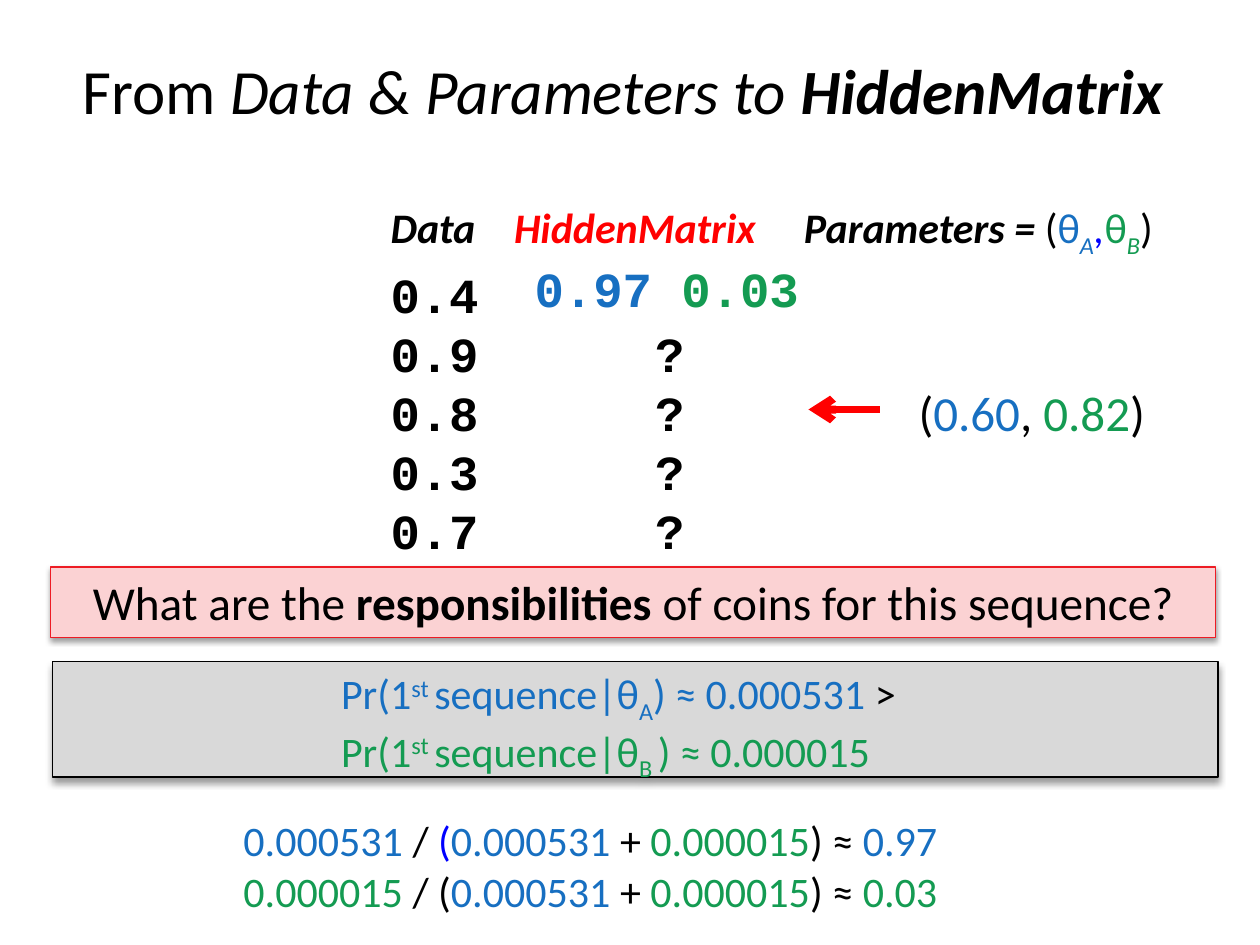
from dataclasses import dataclass

import lxml.etree
import pptx
import pptx.dml.color
import pptx.enum.shapes
import pptx.enum.text
import pptx.oxml.ns
import pptx.util

qn = pptx.oxml.ns.qn
Inches = pptx.util.Inches
Pt = pptx.util.Pt
ALIGN = pptx.enum.text.PP_ALIGN
ANCHOR = pptx.enum.text.MSO_ANCHOR


def rgb(value):
    return pptx.dml.color.RGBColor.from_string(value)


@dataclass(frozen=True)
class Theme:
    black: str = "000000"
    red: str = "FF0000"
    coin_a: str = "176FC1"
    coin_b: str = "149B52"
    accent: str = "0000FF"
    question_fill: str = "FBD2D3"
    question_line: str = "ED1C24"
    answer_fill: str = "D9D9D9"
    sans: str = "Calibri"
    mono: str = "Courier New"
    title: float = 36
    question: float = 27
    data: float = 28
    body: float = 24
    row_pitch: float = 33.7


class SlideBuilder:
    COLUMNS, ROWS = 120, 90
    BASELINES = {"sub": "-25000", "sup": "30000"}

    def __init__(self, theme):
        self.theme = theme
        self.deck = pptx.Presentation()
        self.deck.slide_width, self.deck.slide_height = Inches(10), Inches(7.5)
        self.slide = self.deck.slides.add_slide(self.deck.slide_layouts[5])

    def place(self, column, row, width=0, height=0):
        across = self.deck.slide_width / self.COLUMNS
        down = self.deck.slide_height / self.ROWS
        return [round(n) for n in (column * across, row * down, width * across, height * down)]

    def set_text(self, frame, lines, size, font=None, align=ALIGN.LEFT, anchor=ANCHOR.TOP,
                 inset=0.1, top=0.05, tabs=(), pitch=None):
        frame.word_wrap = True
        frame.auto_size = pptx.enum.text.MSO_AUTO_SIZE.NONE
        frame.vertical_anchor = anchor
        frame.margin_left, frame.margin_top = Inches(inset), Inches(top)
        for index, line in enumerate(lines):
            paragraph = frame.paragraphs[0] if index == 0 else frame.add_paragraph()
            if tabs:
                stops = lxml.etree.SubElement(paragraph._p.get_or_add_pPr(), qn("a:tabLst"))
                for stop in tabs:
                    lxml.etree.SubElement(stops, qn("a:tab"), pos=str(Inches(stop)), algn="l")
            if pitch:
                paragraph.line_spacing = Pt(pitch)
            paragraph.alignment = align
            paragraph.font.size = Pt(size)
            paragraph.font.name = font or self.theme.sans
            paragraph.font.color.rgb = rgb(self.theme.black)
            for text, *styles in line:
                self.run(paragraph, text, styles)
        return frame

    def run(self, paragraph, text, styles):
        run = paragraph.add_run()
        run.text = text
        for style in styles:
            if style in self.BASELINES:
                run._r.get_or_add_rPr().set("baseline", self.BASELINES[style])
            elif style in ("bold", "italic"):
                setattr(run.font, style, True)
            elif style in ("sans", "mono"):
                run.font.name = getattr(self.theme, style)
            else:
                run.font.color.rgb = rgb(getattr(self.theme, style))

    def title(self, area, line):
        heading = self.slide.shapes.title
        heading.left, heading.top, heading.width, heading.height = self.place(*area)
        self.set_text(heading.text_frame, [line], self.theme.title,
                      align=ALIGN.CENTER, anchor=ANCHOR.MIDDLE)

    def text(self, area, lines, size, **layout):
        box = self.slide.shapes.add_textbox(*self.place(*area))
        return self.set_text(box.text_frame, lines, size, **layout)

    def panel(self, area, lines, size, fill, outline, shadow, **layout):
        panel = self.slide.shapes.add_shape(
            pptx.enum.shapes.MSO_SHAPE.RECTANGLE, *self.place(*area))
        panel.fill.solid()
        panel.fill.fore_color.rgb = rgb(fill)
        panel.line.color.rgb = rgb(outline)
        panel.line.width = Pt(0.75)
        panel.shadow.inherit = False
        alpha, blur, distance = shadow
        cast = lxml.etree.SubElement(
            panel._element.spPr.find(qn("a:effectLst")), qn("a:outerShdw"),
            blurRad=str(Pt(blur)), dist=str(Pt(distance)), dir="5400000", rotWithShape="0")
        shade = lxml.etree.SubElement(cast, qn("a:srgbClr"), val=self.theme.black)
        lxml.etree.SubElement(shade, qn("a:alpha"), val=str(alpha * 1000))
        self.set_text(panel.text_frame, lines, size, **layout)

    def arrow(self, tip, tail, color, weight):
        arrow = self.slide.shapes.add_connector(
            pptx.enum.shapes.MSO_CONNECTOR.STRAIGHT,
            *self.place(*tip)[:2], *self.place(*tail)[:2])
        arrow.line.color.rgb = rgb(color)
        arrow.line.width = Pt(weight)
        properties = arrow._element.spPr
        lxml.etree.SubElement(properties.find(qn("a:ln")), qn("a:headEnd"), type="arrow")
        lxml.etree.SubElement(properties, qn("a:effectLst"))


def likelihood(coin, color, value):
    return [("Pr(1", color), ("st ", color, "sup"), ("sequence|θ", color),
            (coin, color, "sub"), (f") ≈ {value}", color)]


def responsibility(numerator, color, bracket, result):
    return [(numerator + " ", color), ("/ ",), ("(", bracket), ("0.000531 ", "coin_a"),
            ("+ ",), ("0.000015", "coin_b"), (") ≈ ",), (result, color)]


def main():
    theme = Theme()
    page = SlideBuilder(theme)

    header = [("Data\t", "bold", "italic"), ("HiddenMatrix", "bold", "italic", "red"),
              ("\tParameters = ", "bold", "italic"), ("(",), ("θ", "coin_a"),
              ("A", "coin_a", "italic", "sub"), (",", "accent", "italic"), ("θ", "coin_b"),
              ("B", "coin_b", "italic", "sub"), (")",)]
    observations = [[("0.4", "bold", "mono")]]
    observations += [[(f"{share}\t\t?", "bold", "mono")] for share in ("0.9", "0.8", "0.3", "0.7")]
    observations[2] += [("\t\t(", "sans"), ("0.60", "sans", "coin_a"), (", ", "sans"),
                        ("0.82", "sans", "coin_b"), (")", "sans")]
    table = page.text((2.4, 18, 117.6, 40.8), [header, *observations], theme.data,
                      inset=2.9, top=0.09, tabs=(0.98, 2.1, 3.28, 4.19), pitch=theme.row_pitch)
    heads, first = table.paragraphs[:2]
    heads.font.size = Pt(theme.body)
    first.space_before = Pt(3)
    stops = heads._p.pPr.find(qn("a:tabLst"))
    stops.remove(stops[1])

    page.panel((5, 63, 111, 11),
               [likelihood("A", "coin_a", "0.000531 ") + [(">",)],
                likelihood("B ", "coin_b", "0.000015")],
               theme.body, theme.answer_fill, theme.black, (40, 4, 3), inset=2.29)
    page.title((4, 1, 112, 15),
               [("From ",), ("Data & Parameters to ", "italic"),
                ("HiddenMatrix ", "italic", "bold")])
    page.text((22, 77, 76, 11),
              [responsibility("0.000531", "coin_a", "accent", "0.97"),
               responsibility("0.000015", "coin_b", "black", "0.03")], theme.body)
    page.panel((4.8, 54, 111, 6.7),
               [[("What are the ",), ("responsibilities", "bold"),
                 (" of coins for this sequence?",)]],
               theme.question, theme.question_fill, theme.question_line, (38, 3.1, 1.6),
               align=ALIGN.CENTER)
    page.arrow((77, 39), (83.8, 39), theme.red, 4.5)
    page.text((49.4, 24, 28.2, 6.8),
              [[("0.97 ", "bold", "coin_a"), ("0.03", "bold", "coin_b")]],
              theme.data, font=theme.mono, align=ALIGN.CENTER)

    page.deck.save("out.pptx")


if __name__ == "__main__":
    main()
